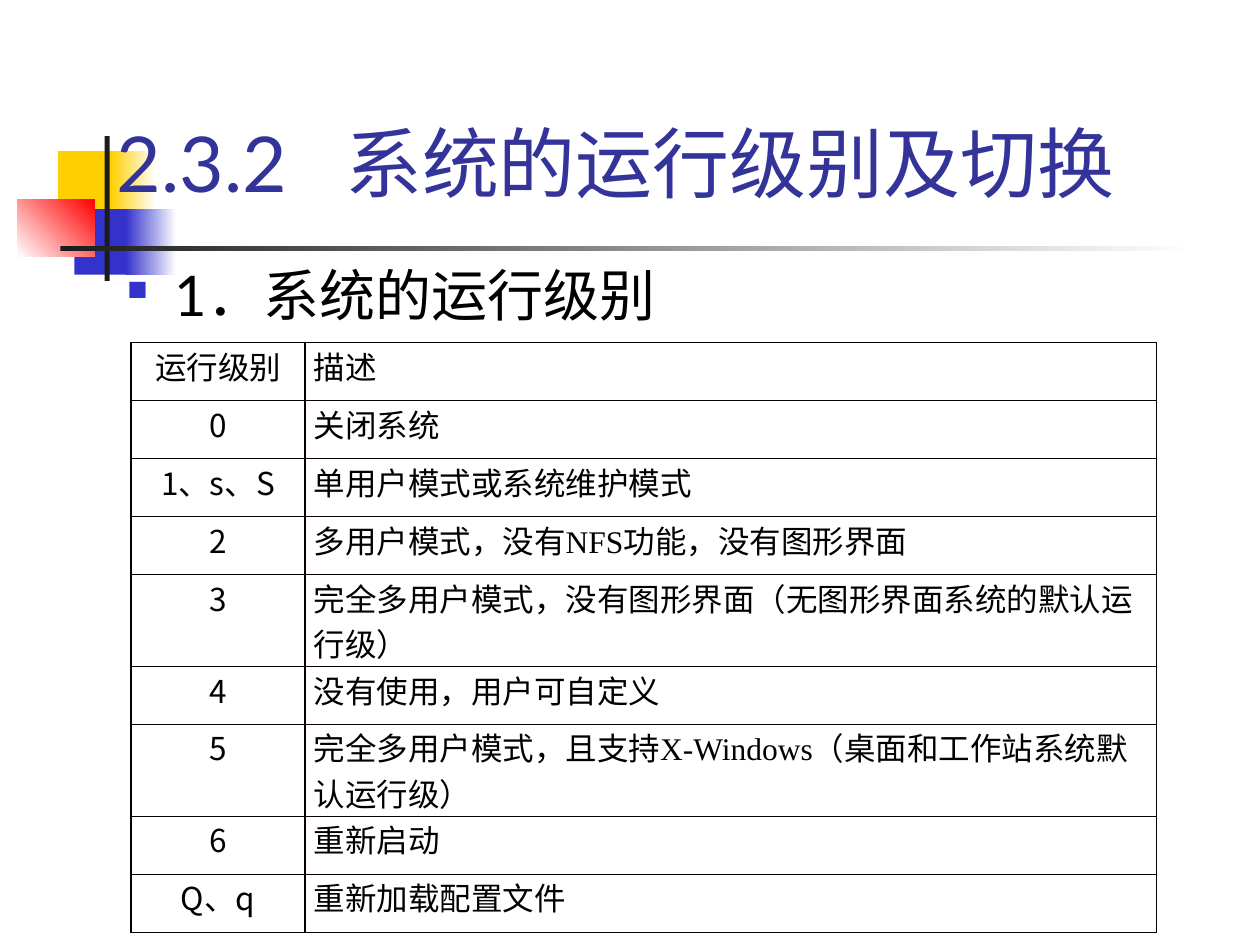
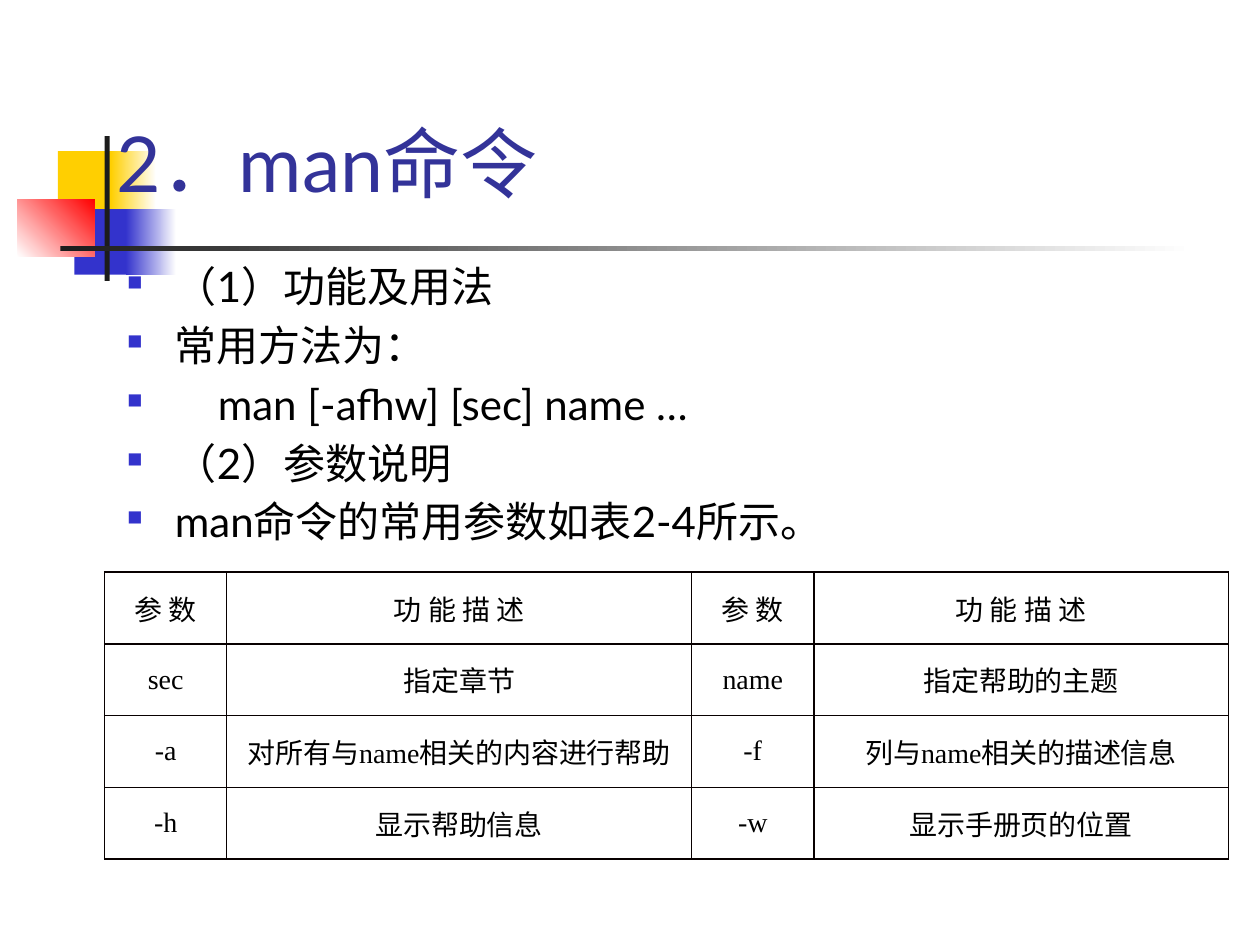
import pptx
import pptx.dml.color
import pptx.enum.shapes
import pptx.enum.text
import pptx.oxml
import pptx.oxml.ns
import pptx.util
from lxml import etree

Inches = pptx.util.Inches
Pt = pptx.util.Pt
ALIGN = pptx.enum.text.PP_ALIGN
ANCHOR = pptx.enum.text.MSO_ANCHOR

YELLOW = "FFCF01"
BLUE = "3333CC"
RED = "FF0000"
WHITE = "FFFFFF"
DARK = "1C1C1C"
TITLE_COLOR = "333399"
TEXT_COLOR = "000000"
BORDER_COLOR = "080000"
HEADING_FONT = "Lato"
CHINESE_FONT = "Noto Sans CJK SC"
SERIF_FONT = "Times New Roman"

DECORATION = [
    ((0.46, 1.2, 0.48, 0.52), [YELLOW], 0),
    ((0.88, 1.2, 0.36, 0.52), [YELLOW, WHITE], 0),
    ((0.59, 1.66, 0.46, 0.52), [BLUE], 0),
    ((1, 1.66, 0.4, 0.52), [BLUE, WHITE], 0),
    ((0.14, 1.58, 0.61, 0.46), [WHITE, RED], 45),
    ((0.83, 1.08, 0.04, 1.15), [DARK], 0),
    ((0.48, 1.95, 9, 0.04), [DARK, WHITE], 0),
]

RUN_LEVELS = [
    ("运行级别", "描述"),
    ("0", "关闭系统"),
    ("1、s、S", "单用户模式或系统维护模式"),
    ("2", "多用户模式，没有NFS功能，没有图形界面"),
    ("3", "完全多用户模式，没有图形界面（无图形界面系统的默认运行级）"),
    ("4", "没有使用，用户可自定义"),
    ("5", "完全多用户模式，且支持X-Windows（桌面和工作站系统默认运行级）"),
    ("6", "重新启动"),
    ("Q、q", "重新加载配置文件"),
]
LEVEL_HEIGHT = 0.46
WRAPPED_HEIGHT = 0.73
WRAPPED_LEVELS = ("3", "5")

MAN_OPTIONS = [
    ("参 数", "功 能 描 述") * 2,
    ("sec", "指定章节", "name", "指定帮助的主题"),
    ("-a", "对所有与name相关的内容进行帮助", "-f", "列与name相关的描述信息"),
    ("-h", "显示帮助信息", "-w", "显示手册页的位置"),
]


def color(value):
    return pptx.dml.color.RGBColor.from_string(value)


def add_xml(parent, tag, **attributes):
    return etree.SubElement(parent, pptx.oxml.ns.qn(tag), attributes)


def set_font(paragraph, size, name, east_asian, text_color=TEXT_COLOR):
    font = paragraph.font
    font.size = Pt(size)
    font.name = name
    font.color.rgb = color(text_color)
    add_xml(font._rPr, "a:ea", typeface=east_asian)


def add_block(page, place, colors, angle):
    block = page.shapes.add_shape(
        pptx.enum.shapes.MSO_SHAPE.RECTANGLE, *map(Inches, place))
    block.shadow.inherit = False
    block.line.fill.background()
    if len(colors) == 1:
        block.fill.solid()
        block.fill.fore_color.rgb = color(colors[0])
        return
    block.fill.gradient()
    block.fill.gradient_angle = angle
    for stop, position, value in zip(block.fill.gradient_stops, (0, 1), colors):
        stop.position = position
        stop.color.rgb = color(value)


def add_text_box(page, place):
    frame = page.shapes.add_textbox(*map(Inches, place)).text_frame
    frame.word_wrap = True
    return frame


def add_title(page, title):
    frame = add_text_box(page, (0.83, 0.44, 8.92, 1.26))
    frame.vertical_anchor = ANCHOR.BOTTOM
    paragraph = frame.paragraphs[0]
    paragraph.text = title
    stops = add_xml(paragraph._p.get_or_add_pPr(), "a:tabLst")
    add_xml(stops, "a:tab", pos=str(Inches(1.81)), algn="l")
    set_font(paragraph, 44, HEADING_FONT, HEADING_FONT, TITLE_COLOR)


def add_bullets(page, items, size):
    frame = add_text_box(page, (0.91, 2.02, 8.89, 4.8))
    for index, (text, extra_indent) in enumerate(items):
        paragraph = frame.add_paragraph() if index else frame.paragraphs[0]
        paragraph.text = text
        paragraph.space_before = Pt(size * 0.2)
        indent = Inches(0.38 + extra_indent)
        properties = paragraph._p.get_or_add_pPr()
        properties.set("marL", str(indent))
        properties.set("indent", str(-indent))
        bullet_color = add_xml(properties, "a:buClr")
        add_xml(bullet_color, "a:srgbClr", val=BLUE)
        add_xml(properties, "a:buSzPct", val="50000")
        add_xml(properties, "a:buChar", char="■")
        set_font(paragraph, size, HEADING_FONT, HEADING_FONT)


def set_borders(cell):
    properties = cell._tc.get_or_add_tcPr()
    for side in ("a:lnL", "a:lnR", "a:lnT", "a:lnB"):
        line = add_xml(properties, side, w=str(Pt(1)))
        fill = add_xml(line, "a:solidFill")
        add_xml(fill, "a:srgbClr", val=BORDER_COLOR)


def add_grid(page, left, top, widths, heights, rows, size, styles, anchor):
    table = page.shapes.add_table(
        len(rows), len(widths), Inches(left), Inches(top),
        Inches(sum(widths)), Inches(sum(heights))).table
    table.first_row = False
    table.horz_banding = False
    for column, width in zip(table.columns, widths):
        column.width = Inches(width)
    for row, height, texts in zip(table.rows, heights, rows):
        row.height = Inches(height)
        for cell, text, (font_name, alignment) in zip(row.cells, texts, styles):
            set_borders(cell)
            cell.fill.background()
            cell.margin_left = cell.margin_right = Inches(0.07)
            cell.margin_top = cell.margin_bottom = 0
            cell.vertical_anchor = anchor
            paragraph = cell.text_frame.paragraphs[0]
            paragraph.text = text
            paragraph.alignment = alignment
            set_font(paragraph, size, font_name, CHINESE_FONT)


def add_page(deck, title):
    page = deck.slides.add_slide(deck.slide_layouts[6])
    for place, colors, angle in DECORATION:
        add_block(page, place, colors, angle)
    add_title(page, title)
    return page


def main():
    deck = pptx.Presentation()
    deck.slide_width = Inches(10)
    deck.slide_height = Inches(7.5)

    levels_page = add_page(deck, "2.3.2\t系统的运行级别及切换")
    add_bullets(levels_page, [("1．系统的运行级别", 0)], 32)
    level_heights = [WRAPPED_HEIGHT if level in WRAPPED_LEVELS else LEVEL_HEIGHT
                     for level, _ in RUN_LEVELS]
    add_grid(levels_page, 1.04, 2.72, (1.38, 6.76), level_heights, RUN_LEVELS, 18,
             [(CHINESE_FONT, ALIGN.CENTER), (SERIF_FONT, ALIGN.LEFT)], ANCHOR.TOP)

    man_page = add_page(deck, "2．man命令")
    add_bullets(man_page, [
        ("（1）功能及用法", 0),
        ("常用方法为：", 0),
        ("man [-afhw] [sec] name …", 0.34),
        ("（2）参数说明", 0),
        ("man命令的常用参数如表2-4所示。", 0),
    ], 24)
    add_grid(man_page, 0.83, 4.54, (0.97, 3.69, 0.97, 3.29), [0.57] * len(MAN_OPTIONS),
             MAN_OPTIONS, 16, [(SERIF_FONT, ALIGN.CENTER)] * 4, ANCHOR.MIDDLE)

    deck.save("out.pptx")


if __name__ == "__main__":
    main()
